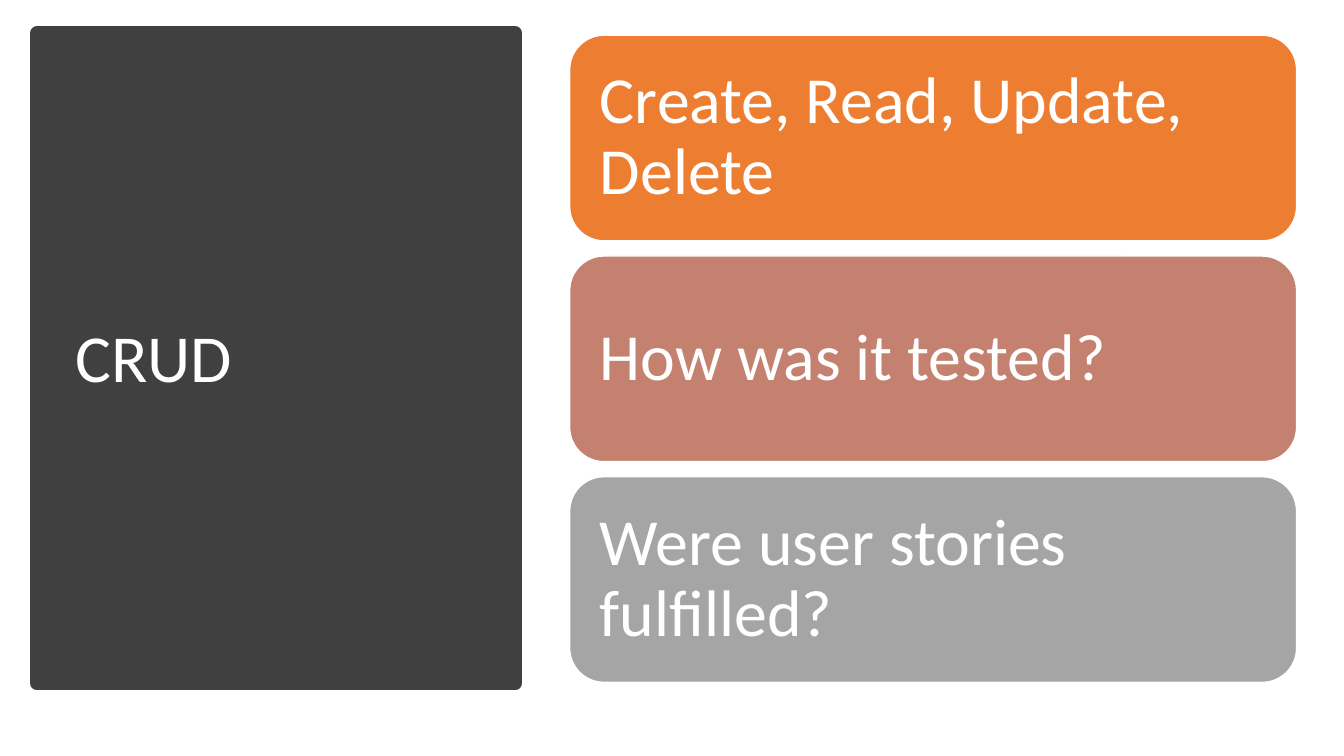
from pptx import Presentation
from pptx import util as u
from pptx.dml.color import RGBColor
from pptx.enum import shapes, text

WHITE = RGBColor(0xFF, 0xFF, 0xFF)
CHARCOAL = RGBColor(0x40, 0x40, 0x40)
ORANGE = RGBColor(0xED, 0x7D, 0x31)
ROSE = RGBColor(0xC4, 0x81, 0x70)
GRAY = RGBColor(0xA5, 0xA5, 0xA5)

TITLE = "CRUD"
CARDS = [
    ("Create, Read, Update, Delete", ORANGE),
    ("How was it tested?", ROSE),
    ("Were user stories fulfilled?", GRAY),
]
PANEL_AREA = (0.37, 0.33, 4.74, 6.45)
TITLE_AREA = (0.65, 0.7, 4.16, 5.75)
CARD_LEFT, CARD_TOP, CARD_WIDTH, CARD_HEIGHT = 5.65, 0.35, 7.21, 2.04
CARD_PITCH = 2.19
CARD_INSET = u.Inches(0.2)


def add_block(page, kind, area, fill, line, line_width):
    block = page.shapes.add_shape(kind, *map(u.Inches, area))
    block.shadow.inherit = False
    block.fill.solid()
    block.fill.fore_color.rgb = fill
    block.line.color.rgb = line
    block.line.width = u.Pt(line_width)
    return block


def write(frame, wording, size):
    frame.word_wrap = True
    frame.auto_size = text.MSO_AUTO_SIZE.NONE
    frame.vertical_anchor = text.MSO_ANCHOR.MIDDLE
    para = frame.paragraphs[0]
    para.text = wording
    para.alignment = text.PP_ALIGN.LEFT
    para.line_spacing = 0.9
    para.font.name = "Calibri"
    para.font.size = u.Pt(size)
    para.font.color.rgb = WHITE


def main():
    deck = Presentation()
    deck.slide_width, deck.slide_height = u.Inches(13.33), u.Inches(7.5)
    page = deck.slides.add_slide(deck.slide_layouts[5])

    title = page.shapes.title
    title.left, title.top, title.width, title.height = map(u.Inches, TITLE_AREA)
    write(title.text_frame, TITLE, 48)
    panel = add_block(page, shapes.MSO_SHAPE.RECTANGLE, PANEL_AREA, CHARCOAL, CHARCOAL, 10)
    title._element.addprevious(panel._element)

    for row, (wording, fill) in enumerate(CARDS):
        area = (CARD_LEFT, CARD_TOP + row * CARD_PITCH, CARD_WIDTH, CARD_HEIGHT)
        card = add_block(page, shapes.MSO_SHAPE.ROUNDED_RECTANGLE, area, fill, WHITE, 1)
        frame = card.text_frame
        frame.margin_left = frame.margin_right = CARD_INSET
        frame.margin_top = frame.margin_bottom = CARD_INSET
        write(frame, wording, 47)

    deck.save("out.pptx")


if __name__ == "__main__":
    main()
